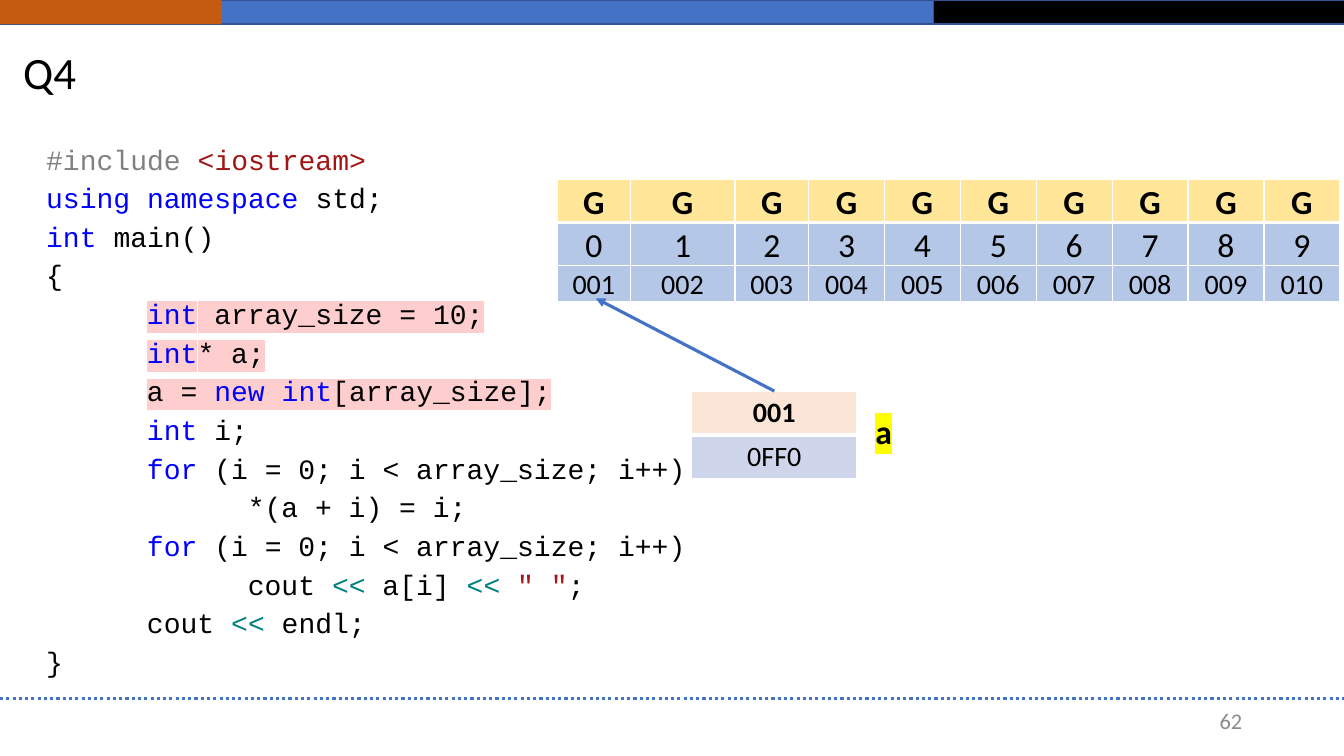
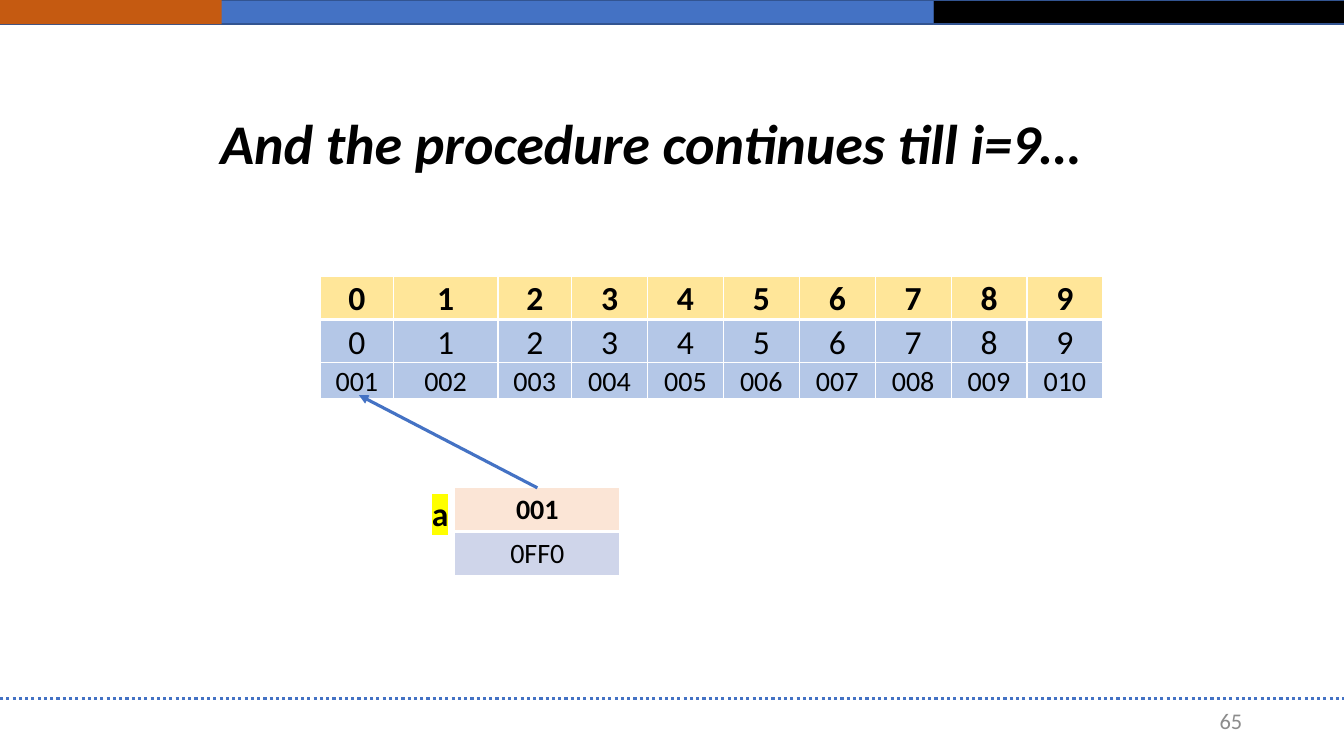
from dataclasses import dataclass

from lxml import etree
from pptx import Presentation
from pptx import util as u
from pptx.dml.color import RGBColor
from pptx.enum import dml, shapes, text
from pptx.oxml.ns import qn


@dataclass(frozen=True)
class Theme:
    body_font: str = "Calibri"
    code_font: str = "Courier New"
    blue: str = "4472C4"
    band_edge: str = "325491"
    orange: str = "C55A11"
    black: str = "000000"
    white: str = "FFFFFF"
    footer: str = "8C8C8C"
    value_fill: str = "FFE699"
    index_fill: str = "B4C7E7"
    pointer_fill: str = "FBE5D6"
    address_fill: str = "CFD5EA"
    label_mark: str = "FFFF00"
    code_mark: str = "FECECE"
    keyword: str = "0000FF"
    directive: str = "808080"
    string: str = "A31515"
    operator: str = "008080"
    title_size: int = 32
    message_size: int = 40
    large: int = 24
    medium: int = 20
    small: int = 16


theme = Theme()


def add_span(para, words, size, color=theme.black, font=theme.body_font,
             bold=False, italic=False, mark=None):
    span = para.add_run()
    span.text = words
    span.font.size = u.Pt(size)
    span.font.name = font
    span.font.bold = bold
    span.font.italic = italic
    span.font.color.rgb = RGBColor.from_string(color)
    if mark:
        highlight = etree.Element(qn("a:highlight"))
        etree.SubElement(highlight, qn("a:srgbClr"), val=mark)
        span.font._element.find(qn("a:solidFill")).addnext(highlight)


def add_grid(page, left, top, widths, heights, rows, fills, sizes, spacing, tight):
    frame = page.shapes.add_table(
        len(rows), len(widths), u.Inches(left), u.Inches(top),
        u.Inches(sum(widths)), u.Inches(sum(heights)))
    table = frame.table
    table.horz_banding = False
    for column, width in zip(table.columns, widths):
        column.width = u.Inches(width)
    for r, values in enumerate(rows):
        table.rows[r].height = u.Inches(heights[r])
        for c, value in enumerate(values):
            cell = table.cell(r, c)
            if tight:
                cell.margin_left = cell.margin_right = u.Inches(0.07)
                cell.margin_top = cell.margin_bottom = 0
            properties = cell._tc.get_or_add_tcPr()
            for side in ("lnL", "lnR", "lnT", "lnB"):
                heavy = (r, side) in ((0, "lnB"), (1, "lnT"))
                border = etree.SubElement(
                    properties, qn(f"a:{side}"), w=str(u.Pt(3 if heavy else 1)))
                solid = etree.SubElement(border, qn("a:solidFill"))
                etree.SubElement(solid, qn("a:srgbClr"), val=theme.white)
            cell.fill.solid()
            cell.fill.fore_color.rgb = RGBColor.from_string(fills[r])
            para = cell.text_frame.paragraphs[0]
            para.alignment = text.PP_ALIGN.CENTER
            para.line_spacing = spacing
            add_span(para, value, sizes[r], bold=r == 0)
    return frame


bands = [
    (0, 9.26, theme.blue, theme.band_edge),
    (9.26, 4.08, theme.black, theme.band_edge),
    (0, 2.2, theme.orange, None),
]

loop_head = (1, False, [("for", theme.keyword),
                        (" (i = 0; i < array_size; i++)", theme.black)])
program = [
    (0, False, [("#include ", theme.directive), ("<iostream>", theme.string)]),
    (0, False, [("using namespace", theme.keyword), (" std;", theme.black)]),
    (0, False, [("int", theme.keyword), (" main()", theme.black)]),
    (0, False, [("{", theme.black)]),
    (1, True, [("int", theme.keyword), (" array_size = 10;", theme.black)]),
    (1, True, [("int", theme.keyword), ("* a;", theme.black)]),
    (1, True, [("a = ", theme.black), ("new", theme.keyword), (" ", theme.black),
               ("int", theme.keyword), ("[array_size];", theme.black)]),
    (1, False, [("int ", theme.keyword), ("i;", theme.black)]),
    loop_head,
    (2, False, [("*(a + i) = i;", theme.black)]),
    loop_head,
    (2, False, [("cout ", theme.black), ("<<", theme.operator),
                (" a[i] ", theme.black), ("<< ", theme.operator),
                ('" "', theme.string), (";", theme.black)]),
    (1, False, [("cout ", theme.black), ("<< ", theme.operator),
                ("endl;", theme.black)]),
    (0, False, [("}", theme.black)]),
]

indexes = [str(i) for i in range(10)]
addresses = [f"{i:03d}" for i in range(1, 11)]
first_widths = [0.72, 1.04, 0.73]
column_widths = first_widths + [(7.76 - sum(first_widths)) / 7] * 7

slides = [
    dict(title="Q4", title_at=(0.13, 0.32), title_size=theme.title_size,
         align=text.PP_ALIGN.LEFT, strong=False, number="62", code=program,
         values=["G"] * 10, memory_at=(5.53, 1.78), label_at=(8.26, 4.03)),
    dict(title="And the procedure continues till i=9…", title_at=(0.7, 1.03),
         title_size=theme.message_size, align=text.PP_ALIGN.CENTER, strong=True,
         number="65", code=[], values=indexes, memory_at=(3.18, 2.74),
         label_at=(3.86, 4.84)),
]

deck = Presentation()
deck.slide_width = u.Inches(13.33)
deck.slide_height = u.Inches(7.5)

for slide in slides:
    page = deck.slides.add_slide(deck.slide_layouts[5])

    for left, width, color, edge in bands:
        band = page.shapes.add_shape(
            shapes.MSO_SHAPE.RECTANGLE, u.Inches(left), 0,
            u.Inches(width), u.Inches(0.24))
        band.shadow.inherit = False
        band.fill.solid()
        band.fill.fore_color.rgb = RGBColor.from_string(color)
        if edge:
            band.line.color.rgb = RGBColor.from_string(edge)
            band.line.width = u.Pt(1)
        else:
            band.line.fill.background()

    footer_rule = page.shapes.add_connector(
        shapes.MSO_CONNECTOR.STRAIGHT, 0, u.Inches(6.93),
        deck.slide_width, u.Inches(6.93))

    title = page.shapes.title
    title.left, title.top = map(u.Inches, slide["title_at"])
    title.width, title.height = u.Inches(11.5), u.Inches(0.84)
    title.text_frame.auto_size = text.MSO_AUTO_SIZE.NONE
    title.text_frame.vertical_anchor = text.MSO_ANCHOR.MIDDLE
    para = title.text_frame.paragraphs[0]
    para.alignment = slide["align"]
    para.line_spacing = 0.9
    add_span(para, slide["title"], slide["title_size"],
             bold=slide["strong"], italic=slide["strong"])

    number_box = page.shapes.add_textbox(
        u.Inches(9.42), u.Inches(6.95), u.Inches(3), u.Inches(0.4))
    number_box.text_frame.word_wrap = True
    number_box.text_frame.vertical_anchor = text.MSO_ANCHOR.MIDDLE
    para = number_box.text_frame.paragraphs[0]
    para.alignment = text.PP_ALIGN.RIGHT
    add_span(para, slide["number"], theme.small, theme.footer)

    if slide["code"]:
        code_box = page.shapes.add_textbox(
            u.Inches(0.36), u.Inches(1.31), u.Inches(8.03), u.Inches(5.5))
        frame = code_box.text_frame
        frame.word_wrap = True
        frame.auto_size = text.MSO_AUTO_SIZE.SHAPE_TO_FIT_TEXT
        for i, (indent, marked, spans) in enumerate(slide["code"]):
            para = frame.add_paragraph() if i else frame.paragraphs[0]
            para.line_spacing = 1.15
            if indent:
                stops = etree.SubElement(para._p.get_or_add_pPr(), qn("a:tabLst"))
                for stop in range(1, indent + 1):
                    etree.SubElement(stops, qn("a:tab"),
                                     pos=str(u.Inches(stop)), algn="l")
                add_span(para, "\t" * indent, theme.medium, font=theme.code_font)
            for words, color in spans:
                add_span(para, words, theme.medium, color, theme.code_font,
                         mark=theme.code_mark if marked else None)

    left, top = slide["memory_at"]
    add_grid(page, left, top, column_widths, [0.36] * 3,
             [slide["values"], indexes, addresses],
             [theme.value_fill, theme.index_fill, theme.index_fill],
             [theme.large, theme.large, theme.medium], 1.07, True)
    pointer = add_grid(page, left + 1.33, top + 2.1, [1.64], [0.41] * 2,
                       [["001"], ["0FF0"]],
                       [theme.pointer_fill, theme.address_fill],
                       [theme.medium, theme.medium], 1.0, False)

    label_left, label_top = slide["label_at"]
    label = page.shapes.add_textbox(
        u.Inches(label_left), u.Inches(label_top), u.Inches(1.01), u.Inches(0.5))
    label.text_frame.word_wrap = True
    label.text_frame.auto_size = text.MSO_AUTO_SIZE.SHAPE_TO_FIT_TEXT
    para = label.text_frame.paragraphs[0]
    para.alignment = text.PP_ALIGN.CENTER
    add_span(para, "a", theme.large, bold=True, mark=theme.label_mark)

    arrow = page.shapes.add_connector(
        shapes.MSO_CONNECTOR.STRAIGHT, u.Inches(left + 2.15), u.Inches(top + 2.1),
        u.Inches(left + 0.38), u.Inches(top + 1.18))
    arrow.begin_connect(pointer, 0)

    for line in (footer_rule, arrow):
        line.line.color.rgb = RGBColor.from_string(theme.blue)
        line.line.width = u.Pt(2.25)
        etree.SubElement(line._element.spPr, qn("a:effectLst"))
    footer_rule.line.dash_style = dml.MSO_LINE.ROUND_DOT
    stroke = arrow._element.spPr.find(qn("a:ln"))
    etree.SubElement(stroke, qn("a:tailEnd"), type="triangle")

deck.save("out.pptx")
